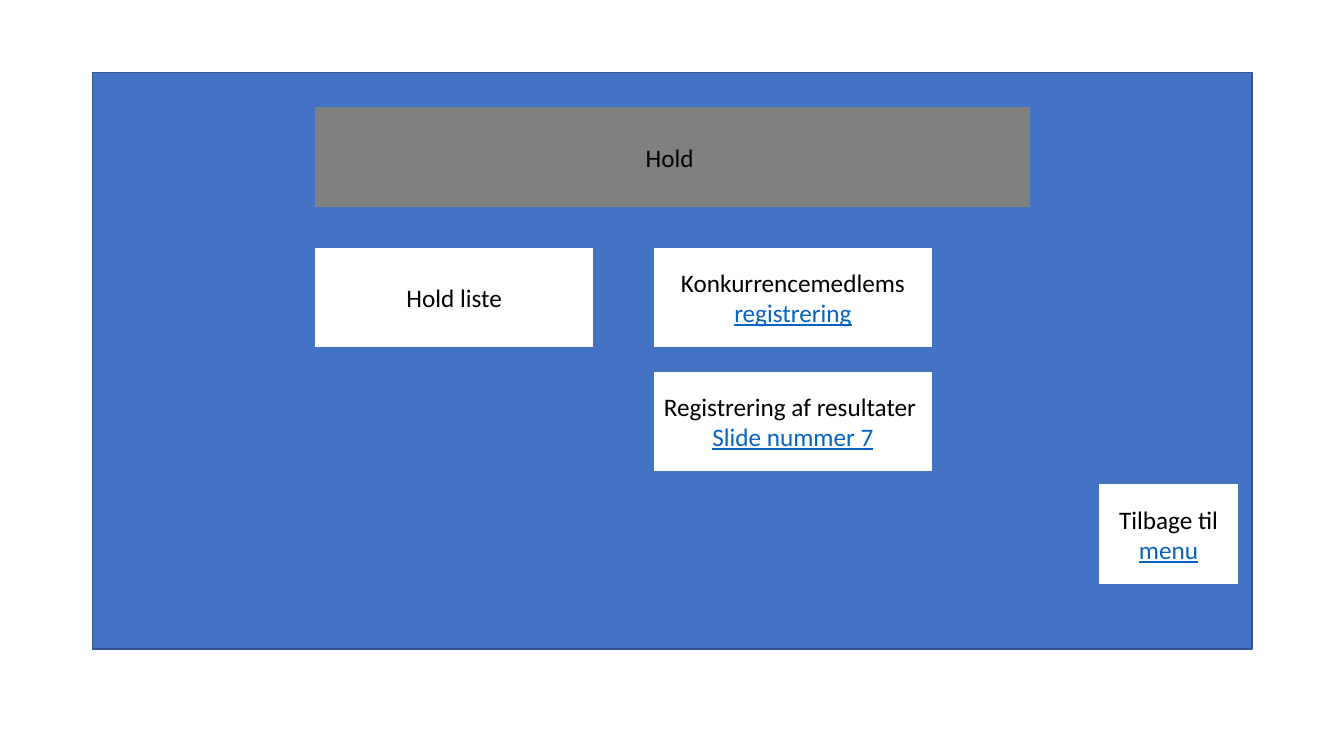
from dataclasses import dataclass

from pptx import Presentation
from pptx.dml.color import RGBColor as RGB
from pptx.enum.shapes import MSO_SHAPE as Shape
from pptx.enum.text import MSO_ANCHOR as Anchor, PP_ALIGN as Align
from pptx.util import Inches, Pt


@dataclass(frozen=True)
class Theme:
    """Colours, font and sizes of the slide."""
    blue: RGB = RGB.from_string("4472C4")
    navy: RGB = RGB.from_string("325491")
    grey: RGB = RGB.from_string("808080")
    white: RGB = RGB.from_string("FFFFFF")
    ink: RGB = RGB.from_string("000000")
    link: RGB = RGB.from_string("0563C1")
    font: str = "Calibri"
    size: Pt = Pt(18)
    border: Pt = Pt(1)


class MenuSlide:
    """Draws panels and labelled buttons on one slide."""

    def __init__(self, slide, theme):
        self.slide = slide
        self.theme = theme

    def panel(self, left, top, width, height, fill, line):
        """Add a plain filled rectangle."""
        panel = self.slide.shapes.add_shape(
            Shape.RECTANGLE, Inches(left), Inches(top), Inches(width), Inches(height))
        panel.shadow.inherit = False
        panel.fill.solid()
        panel.fill.fore_color.rgb = fill
        panel.line.color.rgb = line
        panel.line.width = self.theme.border
        return panel

    def button(self, left, top, width, label, target="", fill=None, split=False):
        """Add a centred label, with its target underlined in link colour."""
        theme = self.theme
        button = self.panel(left, top, width, BUTTON_HEIGHT, fill or theme.white, theme.blue)
        frame = button.text_frame
        frame.word_wrap = True
        frame.vertical_anchor = Anchor.MIDDLE
        paragraph = self.centre(frame.paragraphs[0])
        self.add_words(paragraph, label, theme.ink)
        if target:
            if split:
                paragraph = self.centre(frame.add_paragraph())
            self.add_words(paragraph, target, theme.link, underline=True)

    def centre(self, paragraph):
        """Centre a paragraph and give it the theme font."""
        paragraph.alignment = Align.CENTER
        paragraph.font.name = self.theme.font
        paragraph.font.size = self.theme.size
        return paragraph

    def add_words(self, paragraph, words, colour, underline=None):
        """Append a coloured run."""
        run = paragraph.add_run()
        run.text = words
        run.font.color.rgb = colour
        run.font.underline = underline


BUTTON_HEIGHT = 1
BUTTON_WIDTH = 2.77
LEFT_COLUMN, RIGHT_COLUMN = 3.12, 6.48
FIRST_ROW, SECOND_ROW = 2.45, 3.68

deck = Presentation()
deck.slide_width, deck.slide_height = Inches(13.33), Inches(7.5)
theme = Theme()
menu = MenuSlide(deck.slides.add_slide(deck.slide_layouts[6]), theme)

menu.panel(0.92, 0.72, 11.5, 5.72, theme.blue, theme.navy)
menu.button(LEFT_COLUMN, 1.06, 7.1, "Hold ", fill=theme.grey)
menu.button(LEFT_COLUMN, FIRST_ROW, BUTTON_WIDTH, "Hold liste")
menu.button(RIGHT_COLUMN, FIRST_ROW, BUTTON_WIDTH, "Konkurrencemedlems ", "registrering")
menu.button(10.89, 4.8, 1.4, "Tilbage til ", "menu")
menu.button(RIGHT_COLUMN, SECOND_ROW, BUTTON_WIDTH,
            "Registrering af resultater ", "Slide nummer 7", split=True)

deck.save("out.pptx")
